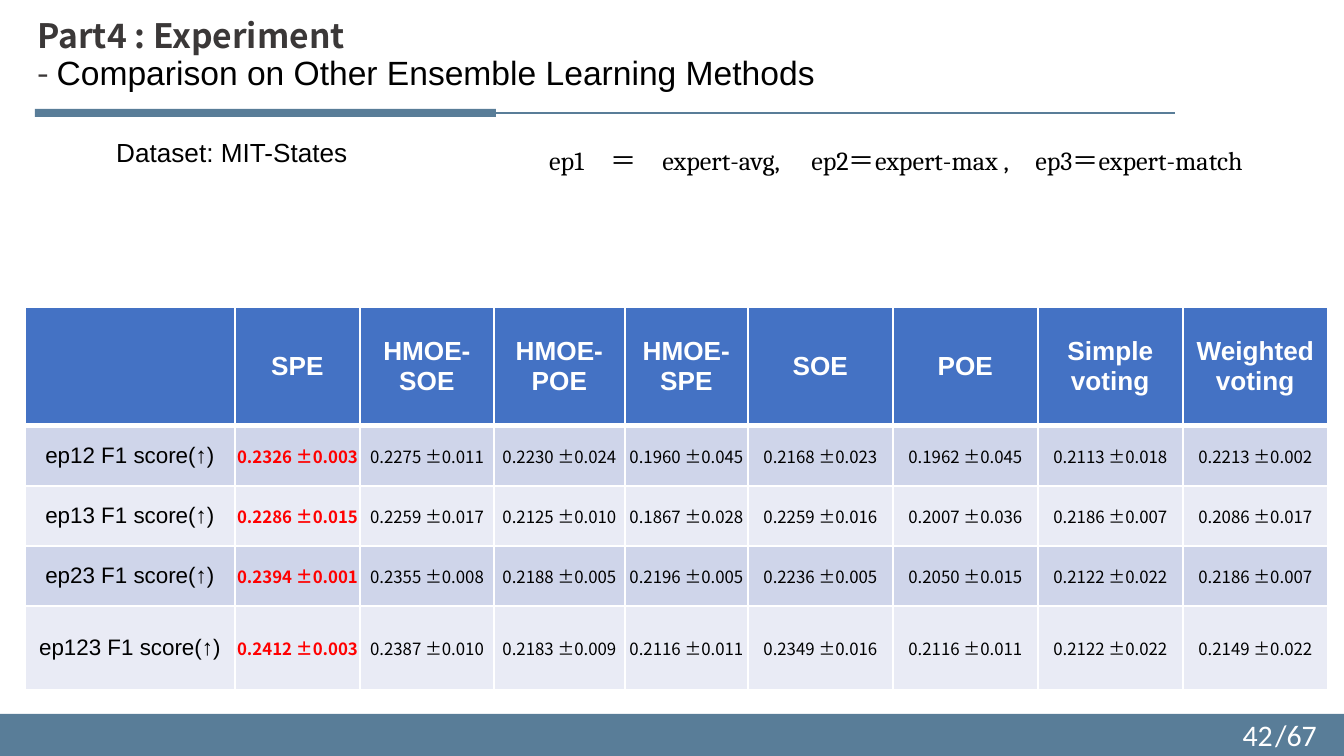
from pptx import Presentation
from pptx.dml.color import RGBColor
from pptx.enum.shapes import MSO_CONNECTOR, MSO_SHAPE
from pptx.enum.text import MSO_ANCHOR, PP_ALIGN
from pptx.oxml.ns import qn
from pptx.util import Emu, Pt
from lxml.etree import SubElement

SCALE = 914400 / 134.4
COLORS = {
    "steel": "597D98", "black": "000000", "white": "FFFFFF", "dark": "3B3838",
    "blue": "4472C4", "band": "CFD5EA", "pale": "E9EBF5", "red": "FF0000",
}
SANS, SERIF, FOOT = "Arial", "Cambria", "Calibri"
HEAVY, DATA = "Noto Sans CJK SC", "Noto Sans CJK JP"

HEADS = ["", "SPE", "HMOE-\nSOE", "HMOE-\nPOE", "HMOE-\nSPE", "SOE", "POE",
         "Simple voting", "Weighted voting"]
SCORES = {
    "ep12": "0.2326 ±0.003|0.2275 ±0.011|0.2230 ±0.024|0.1960 ±0.045|"
            "0.2168 ±0.023|0.1962 ±0.045|0.2113 ±0.018|0.2213 ±0.002",
    "ep13": "0.2286 ±0.015|0.2259 ±0.017|0.2125 ±0.010|0.1867 ±0.028|"
            "0.2259 ±0.016|0.2007 ±0.036|0.2186 ±0.007|0.2086 ±0.017",
    "ep23": "0.2394 ±0.001|0.2355 ±0.008|0.2188 ±0.005|0.2196 ±0.005|"
            "0.2236 ±0.005|0.2050 ±0.015|0.2122 ±0.022|0.2186 ±0.007",
    "ep123": "0.2412 ±0.003|0.2387 ±0.010|0.2183 ±0.009|0.2116 ±0.011|"
             "0.2349 ±0.016|0.2116 ±0.011|0.2122 ±0.022|0.2149 ±0.022",
}
COLS = [210, 125, 134, 131, 123] + [145] * 4
ROWS = [119, 60, 60, 60, 84]


def px(n):
    return Emu(round(n * SCALE))


def rgb(name):
    return RGBColor.from_string(COLORS[name])


class Deck:
    """Holds the style and the current slide."""

    def __init__(self):
        self.prs = Presentation()
        self.prs.slide_width, self.prs.slide_height = px(1344), px(756)
        self.slide = self.prs.slides.add_slide(self.prs.slide_layouts[5])

    def run(self, para, text, size, font, color="black", bold=False):
        run = para.add_run()
        run.text = text
        run.font.size, run.font.name, run.font.bold = Pt(size), font, bold
        run.font.color.rgb = rgb(color)
        if font in (HEAVY, DATA):
            SubElement(run.font._element, qn("a:ea"), typeface=font)

    def title(self, x, y, w, h, top, rest):
        shape = self.slide.shapes.title
        shape.left, shape.top, shape.width, shape.height = map(px, (x, y, w, h))
        frame = shape.text_frame
        frame.word_wrap, frame.vertical_anchor = False, MSO_ANCHOR.TOP
        para = frame.paragraphs[0]
        para.alignment, para.line_spacing = PP_ALIGN.LEFT, 0.9
        self.run(para, top, 18, HEAVY, "dark", True)
        para.add_line_break()
        self.run(para, "- ", 18, HEAVY, "dark")
        self.run(para, rest, 18, SANS)

    def bar(self, x, y, w, h):
        shape = self.slide.shapes.add_shape(MSO_SHAPE.RECTANGLE, *map(px, (x, y, w, h)))
        shape.shadow.inherit = False
        shape.fill.solid()
        shape.fill.fore_color.rgb = rgb("steel")
        shape.line.fill.background()

    def rule(self, x, y, end):
        line = self.slide.shapes.add_connector(
            MSO_CONNECTOR.STRAIGHT, px(x), px(y), px(end), px(y))
        line.line.color.rgb, line.line.width = rgb("steel"), Pt(0.75)
        SubElement(line._element.spPr, qn("a:effectLst"))

    def text(self, x, y, w, h, words, size, font, color="black",
             align=PP_ALIGN.LEFT, anchor=MSO_ANCHOR.TOP):
        frame = self.slide.shapes.add_textbox(*map(px, (x, y, w, h))).text_frame
        frame.word_wrap, frame.vertical_anchor = True, anchor
        frame.paragraphs[0].alignment = align
        self.run(frame.paragraphs[0], words, size, font, color)

    def edges(self, cell, row):
        """Draw white borders, thick between header and body."""
        top, low = (3 if row == 1 else 1), (3 if row == 0 else 1)
        for tag, width in (("lnL", 1), ("lnR", 1), ("lnT", top), ("lnB", low)):
            edge = SubElement(cell._tc.get_or_add_tcPr(), qn("a:" + tag), w=str(Pt(width)))
            fill = SubElement(edge, qn("a:solidFill"))
            SubElement(fill, qn("a:srgbClr"), val=COLORS["white"])

    def cell(self, cell, row, words, fill, style, tight):
        self.edges(cell, row)
        cell.fill.solid()
        cell.fill.fore_color.rgb = rgb(fill)
        cell.vertical_anchor = MSO_ANCHOR.MIDDLE
        if tight:
            cell.margin_left = cell.margin_right = cell.margin_top = px(1)
            cell.margin_bottom = 0
        frame = cell.text_frame
        for i, part in enumerate(words.split("\n") if words else []):
            para = frame.add_paragraph() if i else frame.paragraphs[0]
            para.alignment = PP_ALIGN.CENTER
            self.run(para, part, *style)

    def table(self, x, y, cols, rows, data):
        grid = self.slide.shapes.add_table(
            len(rows), len(cols), *map(px, (x, y, sum(cols), sum(rows)))).table
        for col, w in zip(grid.columns, cols):
            col.width = px(w)
        for r, (line, h) in enumerate(zip(data, rows)):
            grid.rows[r].height = px(h)
            fill = "blue" if r == 0 else "band" if r % 2 else "pale"
            for c, words in enumerate(line):
                if r == 0:
                    style = (14, SANS, "white", True)
                elif c == 0:
                    style = (12, SANS)
                elif c == 1:
                    style = (9, DATA, "red", True)
                else:
                    style = (9, DATA)
                self.cell(grid.cell(r, c), r, words, fill, style, r > 0 and c > 0)


def main():
    deck = Deck()
    deck.bar(0, 714, 1344, 42)
    deck.rule(36, 113, 1175)
    deck.bar(35, 109, 461, 8)
    deck.title(24, 13, 817, 95, "Part4 : Experiment",
               "Comparison on Other Ensemble Learning Methods")
    deck.text(75, 130, 314, 46, "Dataset: MIT-States", 14, SANS, align=PP_ALIGN.CENTER)
    deck.text(536, 138, 763, 46,
              "ep1　＝　expert-avg, 　ep2＝expert-max ,　ep3＝expert-match", 14, SERIF)
    body = [[name + " F1 score(↑)", *line.split("|")] for name, line in SCORES.items()]
    deck.table(25, 307, COLS, ROWS, [HEADS, *body])
    deck.text(1251, 715, 90, 40, "/67", 16, FOOT, "white",
              PP_ALIGN.CENTER, MSO_ANCHOR.MIDDLE)
    deck.text(984, 715, 302, 40, "42", 16, FOOT, "white",
              PP_ALIGN.RIGHT, MSO_ANCHOR.MIDDLE)
    deck.prs.save("out.pptx")


if __name__ == "__main__":
    main()
